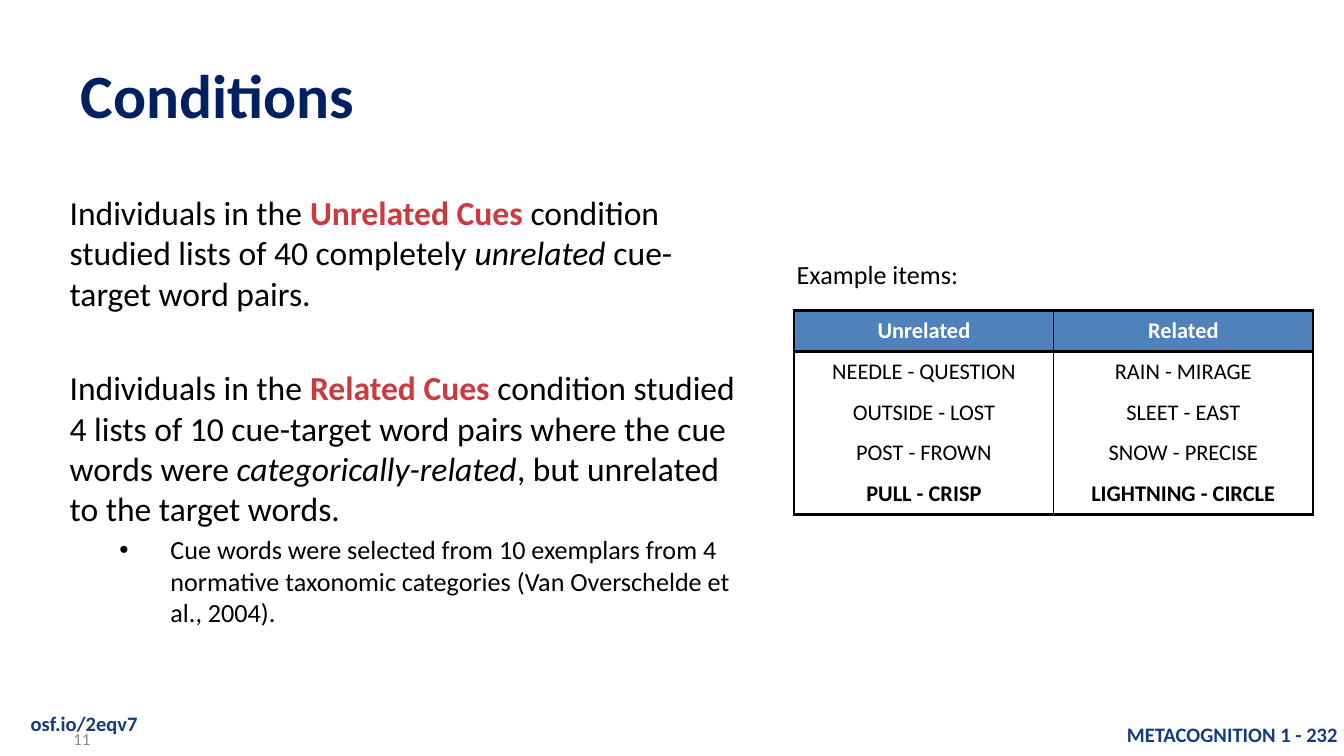
import pptx
import pptx.util
import pptx.dml.color
import pptx.enum.text
import pptx.oxml.ns
from lxml import etree

Inches, Pt = pptx.util.Inches, pptx.util.Pt
ALIGN, ANCHOR = pptx.enum.text.PP_ALIGN, pptx.enum.text.MSO_ANCHOR

# Content
FONT = "Calibri"
NAVY, BLUE, RED = "002060", "163C7F", "CC393F"
BLACK, WHITE, GRAY, HEADER_BLUE = "000000", "FFFFFF", "8C8C8C", "4F81BD"
TITLE = "Conditions"
CUE = {"color": RED, "bold": True}
EMPHASIS = {"italic": True}
# Each paragraph: runs, space before in points, text size, bulleted
CONDITIONS = [
    ([("Individuals in the ", {}), ("Unrelated Cues ", CUE),
      ("condition studied lists of 40 completely ", {}),
      ("unrelated", EMPHASIS), (" cue-target word pairs.", {})], 0, 18, False),
    ([("Individuals in the ", {}), ("Related Cues ", CUE),
      ("condition studied 4 lists of 10 cue-target word pairs where the cue "
       "words were ", {}),
      ("categorically-related", EMPHASIS),
      (", but unrelated to the target words.", {})], 29, 18, False),
    ([("Cue words were selected from 10 exemplars from 4 normative taxonomic "
       "categories (Van Overschelde et al., 2004).", {})], 2.8, 14, True),
]
EXAMPLES = [
    ("Unrelated", "Related"),
    ("NEEDLE - QUESTION", "RAIN - MIRAGE"),
    ("OUTSIDE - LOST", "SLEET - EAST"),
    ("POST - FROWN", "SNOW - PRECISE"),
    ("PULL - CRISP", "LIGHTNING - CIRCLE"),
]
# Text, left, top, width, height, format
LABELS = [
    ("METACOGNITION 1 - 232", 8.24, 5.32, 1.86, 0.29,
     {"size": 11, "color": BLUE, "bold": True, "align": ALIGN.CENTER}),
    ("osf.io/2eqv7", 0.13, 5.24, 1.11, 0.29,
     {"size": 11, "color": BLUE, "bold": True}),
    ("11", 0.42, 5.35, 0.35, 0.3,
     {"size": 9, "color": GRAY, "align": ALIGN.RIGHT, "anchor": ANCHOR.MIDDLE}),
    ("Example items:", 5.83, 1.87, 2.8, 0.34, {"size": 14}),
]


def rgb(value):
    return pptx.dml.color.RGBColor.from_string(value)


def add_run(paragraph, text, size=18, color=BLACK, bold=False, italic=False):
    run = paragraph.add_run()
    run.text = text
    font = run.font
    font.name, font.size, font.bold, font.italic = FONT, Pt(size), bold, italic
    font.color.rgb = rgb(color)


def write(frame, text, align=ALIGN.LEFT, anchor=ANCHOR.TOP, **style):
    frame.word_wrap = True
    frame.vertical_anchor = anchor
    paragraph = frame.paragraphs[0]
    paragraph.alignment = align
    add_run(paragraph, text, **style)


def add_box(left, top, width, height):
    return slide.shapes.add_textbox(
        Inches(left), Inches(top), Inches(width), Inches(height)).text_frame


def add_bullet(paragraph):
    qn = pptx.oxml.ns.qn
    properties = paragraph._p.get_or_add_pPr()
    properties.set("marL", str(Inches(0.75)))
    properties.set("indent", str(Inches(-0.38)))
    etree.SubElement(properties, qn("a:buFont"), typeface="Arial")
    etree.SubElement(properties, qn("a:buChar"), char="•")


def add_borders(cell, **widths):
    qn = pptx.oxml.ns.qn
    properties = cell._tc.get_or_add_tcPr()
    for side, width in widths.items():
        line = etree.SubElement(properties, qn(f"a:ln{side}"), w=str(Pt(width)))
        if width:
            fill = etree.SubElement(line, qn("a:solidFill"))
            etree.SubElement(fill, qn("a:srgbClr"), val=BLACK)
        else:
            etree.SubElement(line, qn("a:noFill"))


# 16:9 slide
presentation = pptx.Presentation()
presentation.slide_width = Inches(10)
presentation.slide_height = Inches(10 * 9 / 16)
slide = presentation.slides.add_slide(presentation.slide_layouts[5])

# Title
title = slide.shapes.title
title.left, title.top = Inches(0.5), Inches(0.23)
title.width, title.height = Inches(9), Inches(0.94)
write(title.text_frame, TITLE, anchor=ANCHOR.MIDDLE, size=33, color=NAVY,
      bold=True)

# Description of the conditions
body = add_box(0.42, 1.38, 5.24, 3.53)
body.word_wrap = True
for index, (runs, space, size, bulleted) in enumerate(CONDITIONS):
    paragraph = body.add_paragraph() if index else body.paragraphs[0]
    paragraph.space_before = Pt(space)
    if bulleted:
        add_bullet(paragraph)
    for text, style in runs:
        add_run(paragraph, text, size=size, **style)

# Footer and table caption
for text, left, top, width, height, style in LABELS:
    write(add_box(left, top, width, height), text, **style)

# Example items
last = len(EXAMPLES) - 1
table = slide.shapes.add_table(
    len(EXAMPLES), 2, Inches(5.91), Inches(2.31), Inches(3.86),
    Inches(1.52)).table
for row, texts in enumerate(EXAMPLES):
    header = row == 0
    for column, text in enumerate(texts):
        cell = table.cell(row, column)
        add_borders(cell, L=1, R=1, T=2 if row <= 1 else 0,
                    B=2 if row in (0, last) else 0)
        cell.fill.solid()
        cell.fill.fore_color.rgb = rgb(HEADER_BLUE if header else WHITE)
        write(cell.text_frame, text, align=ALIGN.CENTER, size=12,
              color=WHITE if header else BLACK, bold=row in (0, last))

presentation.save("out.pptx")
